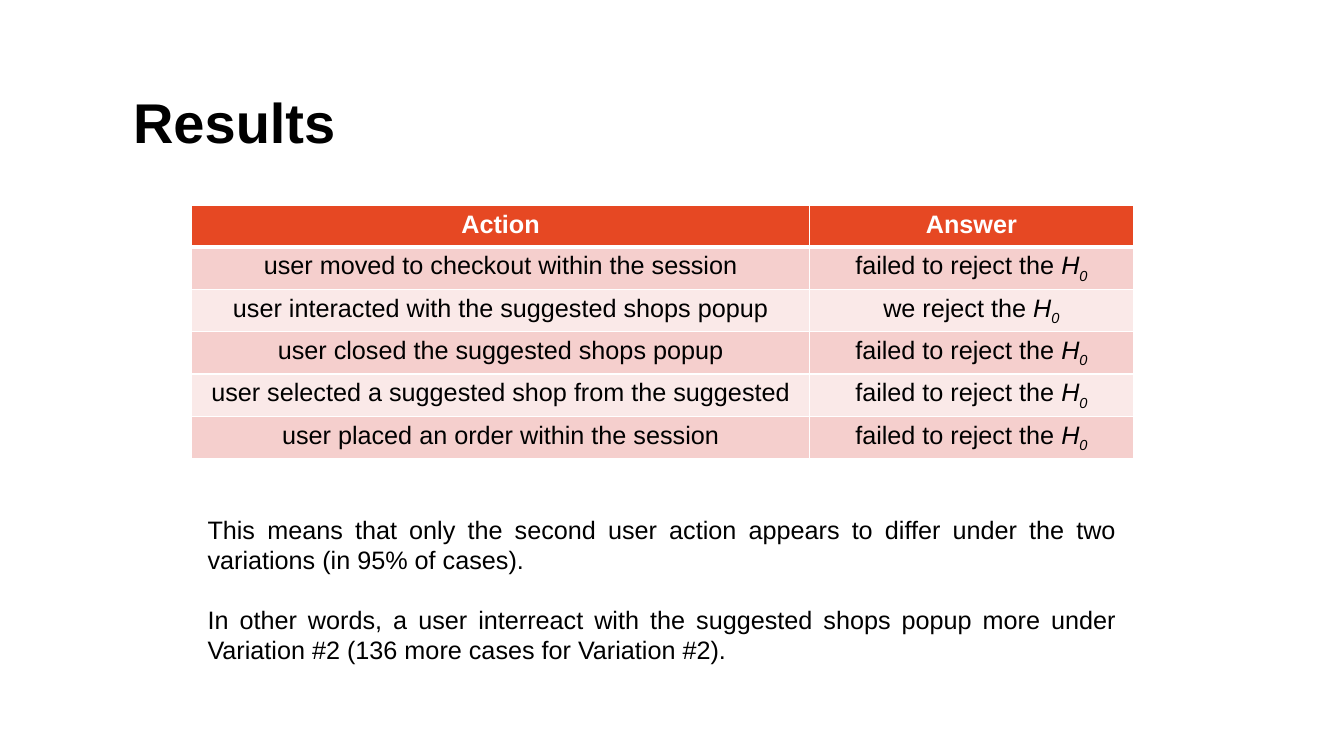
from lxml.etree import SubElement
from pptx import Presentation
from pptx.dml.color import RGBColor
from pptx.enum.text import MSO_ANCHOR, PP_ALIGN
from pptx.oxml.ns import qn
from pptx.util import Inches, Pt

TITLE = "Results"
HEADER = ("Action", "Answer")
FAILED = "failed to reject the "
REJECTED = "we reject the "
RESULTS = [
    ("user moved to checkout within the session", FAILED),
    ("user interacted with the suggested shops popup", REJECTED),
    ("user closed the suggested shops popup", FAILED),
    ("user selected a suggested shop from the suggested", FAILED),
    ("user placed an order within the session", FAILED),
]
CONCLUSIONS = [
    "This means that only the second user action appears to differ under the two "
    "variations (in 95% of cases).",
    "In other words, a user interreact with the suggested shops popup more under "
    "Variation #2 (136 more cases for Variation #2).",
]

FONT = "Arial"
BLACK = RGBColor(0x00, 0x00, 0x00)
WHITE = RGBColor(0xFF, 0xFF, 0xFF)
ORANGE = RGBColor(0xE6, 0x48, 0x23)
BANDS = (RGBColor(0xF5, 0xCF, 0xCD), RGBColor(0xFA, 0xE9, 0xE8))

TITLE_BOX = (1.22, 0.6, 11.12, 1.29)
TABLE_LEFT, TABLE_TOP = 1.9, 2.04
COL_WIDTHS = (6.13, 3.21)
ROW_HEIGHT = 0.41
TEXT_BOX = (1.96, 5.05, 9.21, 1.62)


def add_run(p, text, size=18, color=BLACK, bold=False, italic=False):
    r = p.add_run()
    r.text = text
    r.font.name = FONT
    r.font.size = Pt(size)
    r.font.bold = bold
    r.font.italic = italic
    r.font.color.rgb = color
    return r


def set_borders(cell, top, bottom):
    tcPr = cell._tc.get_or_add_tcPr()
    for side, width in (("L", 1), ("R", 1), ("T", top), ("B", bottom)):
        ln = SubElement(tcPr, qn(f"a:ln{side}"), w=str(Pt(width)))
        fill = SubElement(ln, qn("a:solidFill"))
        SubElement(fill, qn("a:srgbClr"), val=str(WHITE))


def format_cell(cell, color, top=1, bottom=1):
    set_borders(cell, top, bottom)
    cell.fill.solid()
    cell.fill.fore_color.rgb = color
    p = cell.text_frame.paragraphs[0]
    p.alignment = PP_ALIGN.CENTER
    return p


def add_title(slide):
    sp = slide.shapes.title
    sp.left, sp.top, sp.width, sp.height = map(Inches, TITLE_BOX)
    tf = sp.text_frame
    tf.vertical_anchor = MSO_ANCHOR.MIDDLE
    p = tf.paragraphs[0]
    p.alignment = PP_ALIGN.LEFT
    p.line_spacing = 0.9
    add_run(p, TITLE, size=40, bold=True)


def add_results(slide):
    rows = len(RESULTS) + 1
    frame = slide.shapes.add_table(
        rows, len(HEADER), Inches(TABLE_LEFT), Inches(TABLE_TOP),
        Inches(sum(COL_WIDTHS)), Inches(ROW_HEIGHT * rows))
    table = frame.table
    for column, width in zip(table.columns, COL_WIDTHS):
        column.width = Inches(width)
    for row in table.rows:
        row.height = Inches(ROW_HEIGHT)
    for col, label in enumerate(HEADER):
        p = format_cell(table.cell(0, col), ORANGE, bottom=3)
        add_run(p, label, color=WHITE, bold=True)
    for row, (action, answer) in enumerate(RESULTS, 1):
        band = BANDS[(row - 1) % len(BANDS)]
        top = 3 if row == 1 else 1
        add_run(format_cell(table.cell(row, 0), band, top), action)
        p = format_cell(table.cell(row, 1), band, top)
        add_run(p, answer)
        add_run(p, "Η", italic=True)
        subscript = add_run(p, "0", italic=True)
        subscript.font._element.set("baseline", "-25000")


def add_conclusions(slide):
    tf = slide.shapes.add_textbox(*map(Inches, TEXT_BOX)).text_frame
    tf.word_wrap = True
    for i, text in enumerate(CONCLUSIONS):
        p = tf.add_paragraph() if i else tf.paragraphs[0]
        p.alignment = PP_ALIGN.JUSTIFY
        p.space_before = Pt(21 if i else 0)
        add_run(p, text)


def main():
    prs = Presentation()
    prs.slide_width, prs.slide_height = Inches(13.33), Inches(7.5)
    slide = prs.slides.add_slide(prs.slide_layouts.get_by_name("Title Only"))
    add_title(slide)
    add_results(slide)
    add_conclusions(slide)
    prs.save("out.pptx")


if __name__ == "__main__":
    main()
